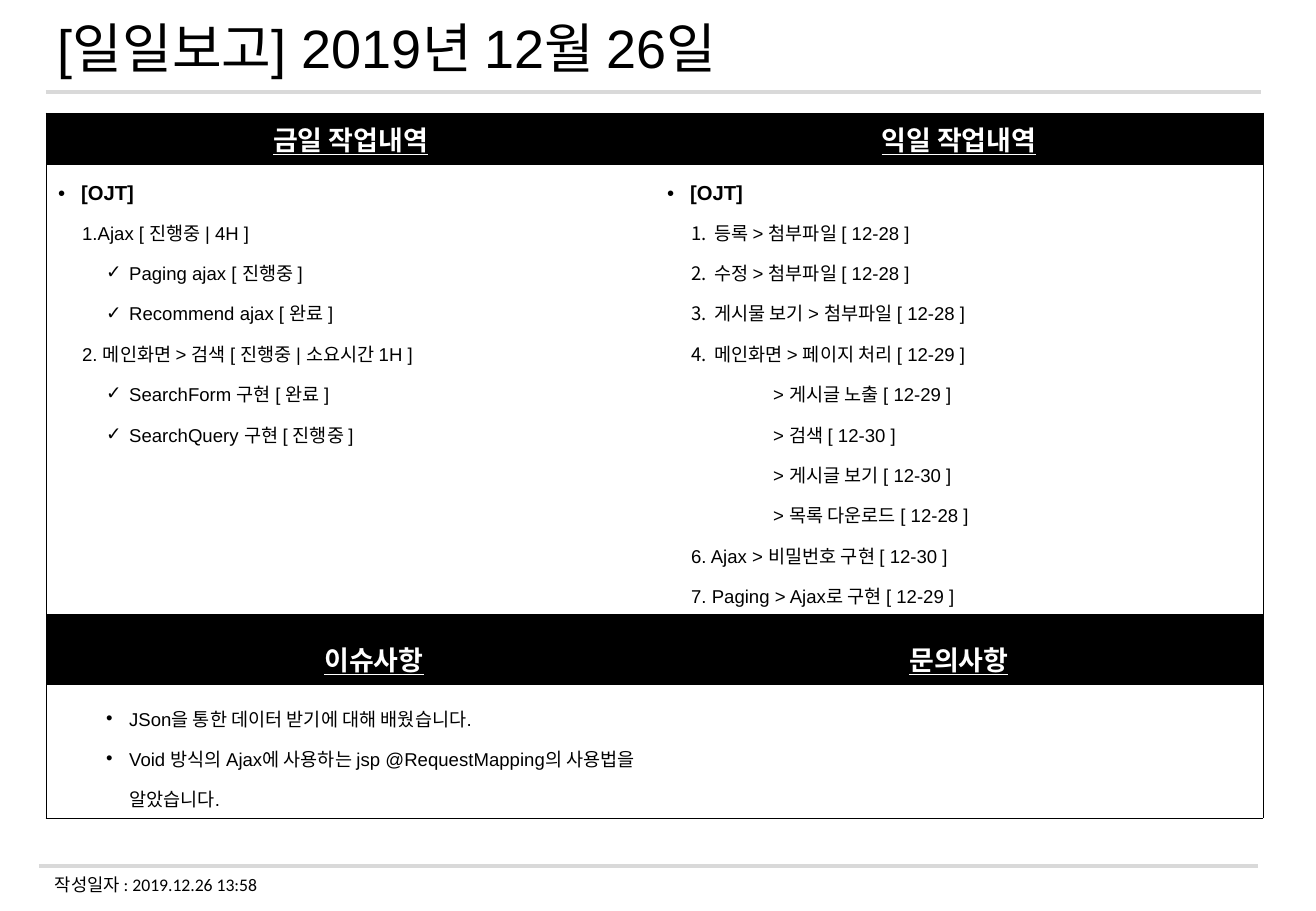
from dataclasses import dataclass

from lxml import etree
from pptx import Presentation
from pptx import util as u
from pptx.dml.color import RGBColor
from pptx.enum import shapes, text
from pptx.oxml.ns import qn

PX = 7526  # EMU in one px, at 121.5 px to the inch


@dataclass(frozen=True)
class Theme:
    black: RGBColor = RGBColor(0, 0, 0)
    white: RGBColor = RGBColor(255, 255, 255)
    rule: RGBColor = RGBColor(0xD9, 0xD9, 0xD9)
    font: str = "Arial"
    footer_font: str = "Calibri"
    title: float = 32
    header: float = 16
    topic: float = 12
    body: float = 11
    footer: float = 10.5
    rule_width: float = 2.25
    border_width: float = 0.5


theme = Theme()

# kind: level, left margin px, first-line indent px, bullet, size, bold
STYLES = {
    "header": (0, 0, 0, None, theme.header, True),
    "issue header": (2, 47, 0, None, theme.header, True),
    "topic": (0, 23, -23, "•", theme.topic, True),
    "item": (1, 24, 0, None, theme.body, False),
    "number": (1, 47, -23, "auto", theme.body, False),
    "check": (2, 71, -23, "✓", theme.body, False),
    "note": (2, 71, -23, "•", theme.body, False),
    "sub": (1, 106, 0, None, theme.body, False),
}

today = [
    ("topic", "[OJT]"),
    ("item", "1.Ajax [ 진행중 | 4H ]"),
    ("check", "Paging ajax [ 진행중 ]"),
    ("check", "Recommend ajax [ 완료 ]"),
    ("item", "2. 메인화면 > 검색 [ 진행중 | 소요시간 1H ]"),
    ("check", "SearchForm 구현 [ 완료 ]"),
    ("check", "SearchQuery 구현 [ 진행중 ]"),
]
tomorrow = [
    ("topic", "[OJT]"),
    ("number", "등록 > 첨부파일 [ 12-28 ]"),
    ("number", "수정 > 첨부파일 [ 12-28 ]"),
    ("number", "게시물 보기 > 첨부파일 [ 12-28 ]"),
    ("number", "메인화면 > 페이지 처리 [ 12-29 ]"),
    ("sub", "> 게시글 노출 [ 12-29 ]"),
    ("sub", "> 검색 [ 12-30 ]"),
    ("sub", "> 게시글 보기 [ 12-30 ]"),
    ("sub", "> 목록 다운로드 [ 12-28 ]"),
    ("item", "6. Ajax > 비밀번호 구현 [ 12-30 ]"),
    ("item", "7. Paging > Ajax로 구현 [ 12-29 ]"),
]
issues = [
    ("note", "JSon을 통한 데이터 받기에 대해 배웠습니다."),
    ("note", "Void 방식의 Ajax에 사용하는 jsp @RequestMapping의 사용법을 알았습니다."),
]
# row height px, header row, line spacing, cells
rows = [
    (52, True, 1.0, [[("header", "금일 작업내역")], [("header", "익일 작업내역")]]),
    (449, False, 1.5, [today, tomorrow]),
    (71, True, 1.5, [[("issue header", "이슈사항")], [("header", "문의사항")]]),
    (133, False, 1.5, [issues, []]),
]


def write_lines(cell, lines, spacing, is_header):
    for index, (kind, wording) in enumerate(lines):
        level, left, indent, bullet, size, bold = STYLES[kind]
        frame = cell.text_frame
        para = frame.paragraphs[0] if index == 0 else frame.add_paragraph()
        para.text = wording
        para.level = level
        props = para._p.get_or_add_pPr()
        props.set("marL", str(left * PX))
        props.set("indent", str(indent * PX))
        if bullet == "auto":
            etree.SubElement(props, qn("a:buAutoNum"), type="arabicPeriod")
        elif bullet:
            etree.SubElement(props, qn("a:buFont"), typeface=theme.font)
            etree.SubElement(props, qn("a:buChar"), char=bullet)
        else:
            etree.SubElement(props, qn("a:buNone"))
        para.line_spacing = spacing
        para.alignment = text.PP_ALIGN.CENTER if is_header else text.PP_ALIGN.LEFT
        font = para.runs[0].font
        font.name, font.size, font.bold = theme.font, u.Pt(size), bold
        font.underline = is_header
        font.color.rgb = theme.white if is_header else theme.black


def draw_borders(cell, visible):
    """Line the visible sides, given as letters of LRTB, and clear the others."""
    props = cell._tc.get_or_add_tcPr()
    for position, side in enumerate("LRTB"):
        line = etree.Element(qn(f"a:ln{side}"), w=str(u.Pt(theme.border_width)))
        if side in visible:
            fill = etree.SubElement(line, qn("a:solidFill"))
            etree.SubElement(fill, qn("a:srgbClr"), val=str(theme.black))
        else:
            etree.SubElement(line, qn("a:noFill"))
        props.insert(position, line)


deck = Presentation()
deck.slide_width, deck.slide_height = 1316 * PX, 911 * PX
page = deck.slides.add_slide(deck.slide_layouts[6])

# Rules under the title and above the footer
for left, right, y in [(39, 1258, 866), (46, 1261, 92)]:
    rule = page.shapes.add_connector(
        shapes.MSO_CONNECTOR.STRAIGHT, left * PX, y * PX, right * PX, y * PX)
    rule.line.color.rgb = theme.rule
    rule.line.width = u.Pt(theme.rule_width)
    etree.SubElement(rule.element.spPr, qn("a:effectLst"))

# Title and footer
for wording, place, name, size, spacing, wraps in [
    ("[일일보고] 2019년 12월 26일", (46, 19, 1217, 63), theme.font, theme.title, 0.9, True),
    ("작성일자 : 2019.12.26 13:58", (43, 867, 237, 34), theme.footer_font, theme.footer, 1.0, False),
]:
    box = page.shapes.add_textbox(*(length * PX for length in place))
    box.text_frame.word_wrap = wraps
    box.text_frame.vertical_anchor = text.MSO_ANCHOR.MIDDLE
    para = box.text_frame.paragraphs[0]
    para.text = wording
    para.line_spacing = spacing
    font = para.runs[0].font
    font.name, font.size, font.color.rgb = name, u.Pt(size), theme.black

# Report table
table = page.shapes.add_table(
    len(rows), 2, 46 * PX, 113 * PX, 1217 * PX, sum(row[0] for row in rows) * PX).table
table.horz_banding = table.first_row = False
table.columns[0].width, table.columns[1].width = 609 * PX, 608 * PX
for r, (height, is_header, spacing, cells) in enumerate(rows):
    table.rows[r].height = height * PX
    for c, lines in enumerate(cells):
        cell = table.cell(r, c)
        cell.fill.solid()
        cell.fill.fore_color.rgb = theme.black if is_header else theme.white
        cell.vertical_anchor = text.MSO_ANCHOR.MIDDLE if r == 0 else text.MSO_ANCHOR.TOP
        write_lines(cell, lines, spacing, is_header)
        edges = "LR"[c] + ("T" if r == 0 else "") + ("B" if r == len(rows) - 1 else "")
        draw_borders(cell, edges)

deck.save("out.pptx")
